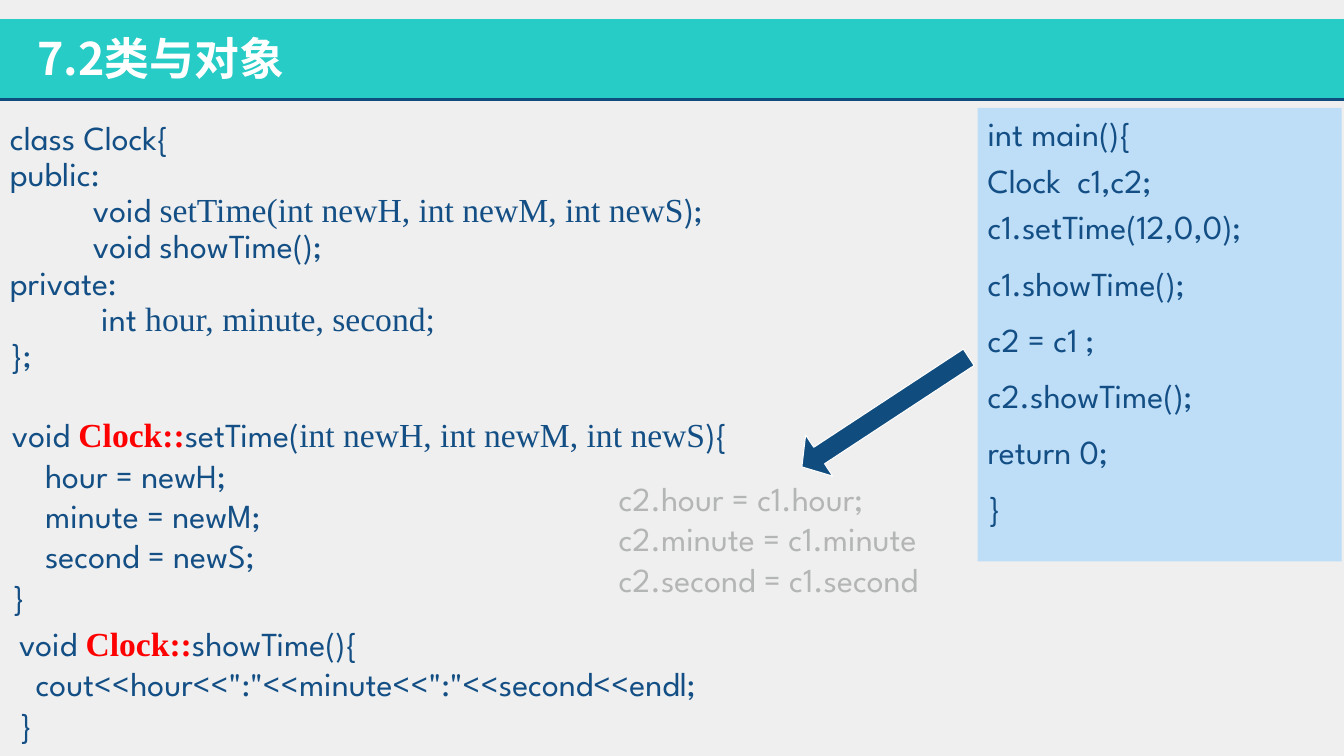
from lxml.etree import SubElement
from pptx import Presentation
from pptx.dml.color import RGBColor
from pptx.enum.shapes import MSO_CONNECTOR, MSO_SHAPE
from pptx.enum.text import MSO_ANCHOR, MSO_AUTO_SIZE, PP_ALIGN
from pptx.oxml.ns import qn
from pptx.util import Cm, Pt

COLORS = {name: RGBColor.from_string(value) for name, value in {
    "page": "EFEFEF", "banner": "26CCC5", "navy": "104D7E", "panel": "BEDDF7",
    "code": "134F85", "scope": "FF0000", "muted": "B3B6B5", "white": "FFFFFF",
}.items()}
SANS, SERIF, CJK = "League Spartan", "Times New Roman", "Noto Sans CJK JP"


def write(frame, lines, size=24, font=SANS, color="code", bold=False, spacing=1.0, gaps=()):
    frame.word_wrap = True
    frame.auto_size = MSO_AUTO_SIZE.NONE
    frame.vertical_anchor = MSO_ANCHOR.TOP
    frame.margin_left = frame.margin_right = Cm(0.25)
    frame.margin_top = frame.margin_bottom = Cm(0.13)
    for index, line in enumerate(lines):
        paragraph = frame.paragraphs[0] if index == 0 else frame.add_paragraph()
        paragraph.alignment = PP_ALIGN.LEFT
        paragraph.line_spacing = spacing
        paragraph.space_before = Pt(gaps[index] if gaps else 0)
        for part in [line] if isinstance(line, str) else line:
            text, style = (part, {}) if isinstance(part, str) else part
            run = paragraph.add_run()
            run.text = text
            run.font.size = Pt(size)
            run.font.name = style.get("font", font)
            run.font.bold = style.get("bold", bold)
            run.font.color.rgb = COLORS[style.get("color", color)]
            SubElement(run.font._element, qn("a:ea")).set("typeface", run.font.name)


presentation = Presentation()
presentation.slide_width = Cm(33.87)
presentation.slide_height = Cm(19.05)
slide = presentation.slides.add_slide(presentation.slide_layouts[5])
slide.background.fill.solid()
slide.background.fill.fore_color.rgb = COLORS["page"]
shapes = slide.shapes

banner = shapes.add_shape(MSO_SHAPE.RECTANGLE, 0, Cm(0.48), Cm(33.87), Cm(2.03))
main_panel = shapes.add_shape(MSO_SHAPE.RECTANGLE, Cm(24.64), Cm(2.72), Cm(9.17), Cm(11.43))
for block, fill in ((banner, "banner"), (main_panel, "panel")):
    block.shadow.inherit = False
    block.fill.solid()
    block.fill.fore_color.rgb = COLORS[fill]
    block.line.fill.background()

banner_rule = shapes.add_connector(MSO_CONNECTOR.STRAIGHT, 0, Cm(2.51), Cm(33.87), Cm(2.51))
banner_rule.line.color.rgb = COLORS["navy"]
banner_rule.line.width = Pt(2)
SubElement(banner_rule._element.spPr, qn("a:effectLst"))

heading = shapes.title
heading.left, heading.top, heading.width, heading.height = Cm(0.69), Cm(0.64), Cm(22.3), Cm(1.63)
shapes._spTree.append(heading._element)
write(heading.text_frame, ["7.2类与对象"], size=32, font=CJK, color="white", bold=True)

write(main_panel.text_frame, [
    "int main(){",
    "Clock  c1,c2;",
    "c1.setTime(12,0,0);",
    "c1.showTime();",
    "c2 = c1 ;",
    "c2.showTime();",
    "return 0;",
    "}",
], gaps=[0, 4.5, 4.5] + [11.3] * 5)

serif = {"font": SERIF}
scope = ("Clock::", {"font": SERIF, "color": "scope", "bold": True})
parameters = "int newH, int newM, int newS"

class_declaration = [
    "class Clock{",
    "public:",
    ["          void ", (f"setTime({parameters}", serif), ");"],
    "          void showTime();",
    "private:",
    ["           int ", ("hour, minute, second;", serif)],
    "};",
]
set_time = [
    ["void ", scope, "setTime(", (parameters, serif), "){"],
    "    hour = newH;",
    "    minute = newM;",
    "    second = newS;",
    "}",
]
show_time = [
    ["void ", scope, "showTime(){"],
    '  cout<<hour<<":"<<minute<<":"<<second<<endl;',
    "}",
]
member_assignment = [
    "c2.hour = c1.hour;",
    "c2.minute = c1.minute",
    "c2.second = c1.second",
]
for lines, left, top, width, height, style in (
    (class_declaration, 0, 2.92, 20.07, 6.71, {"spacing": 0.9}),
    (set_time, 0.05, 10.31, 19.48, 5.38, {}),
    (show_time, 0.23, 15.57, 20.75, 3.33, {}),
    (member_assignment, 15.34, 11.91, 10.41, 3.33, {"color": "muted"}),
):
    listing = shapes.add_textbox(Cm(left), Cm(top), Cm(width), Cm(height))
    write(listing.text_frame, lines, **style)

assignment_arrow = shapes.add_shape(MSO_SHAPE.DOWN_ARROW, Cm(21.69), Cm(7.87), Cm(1.24), Cm(5.03))
assignment_arrow.rotation = 56.7
assignment_arrow.adjustments[0] = 0.4
assignment_arrow.adjustments[1] = 0.42
assignment_arrow.shadow.inherit = False
assignment_arrow.fill.solid()
assignment_arrow.fill.fore_color.rgb = COLORS["navy"]
assignment_arrow.line.color.rgb = COLORS["white"]
assignment_arrow.line.width = Pt(0.75)

presentation.save("out.pptx")
